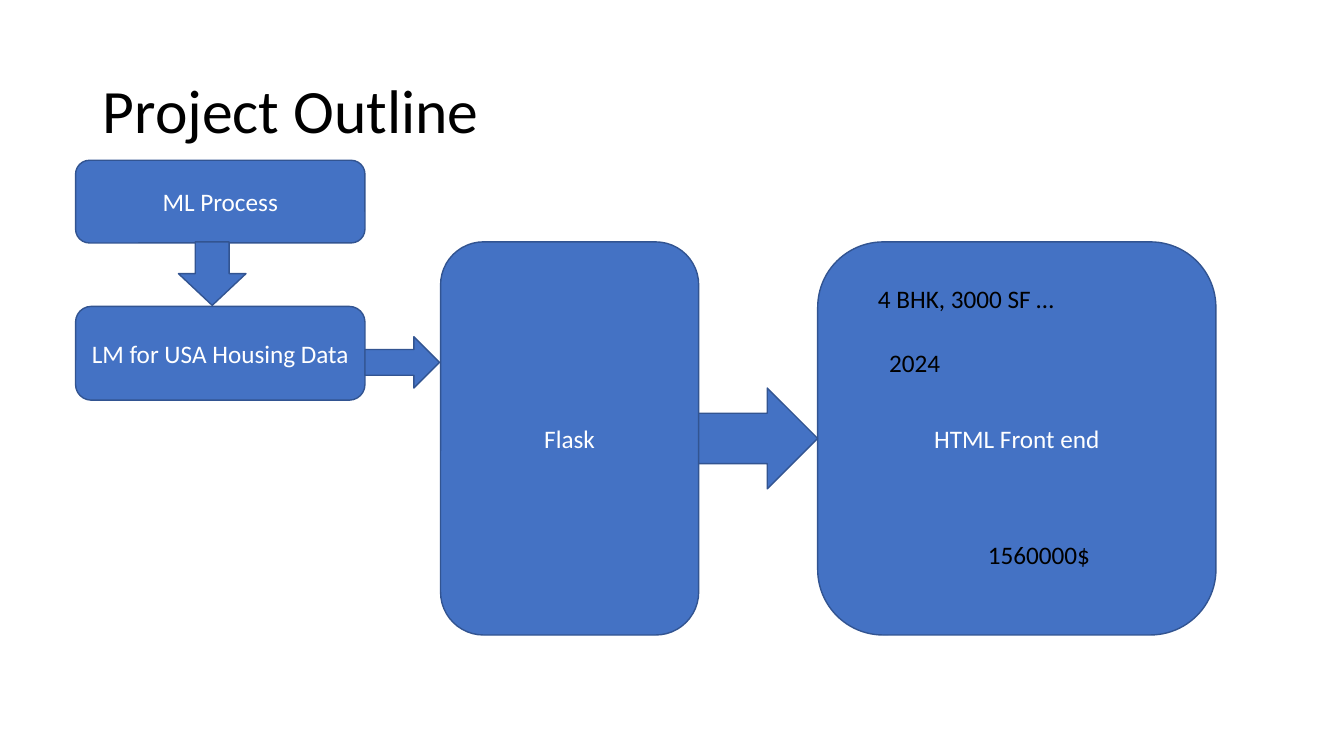
from dataclasses import dataclass

from pptx import Presentation
from pptx import util as u
from pptx.dml.color import RGBColor
from pptx.enum import shapes, text

SHAPE = shapes.MSO_SHAPE
ALIGN = text.PP_ALIGN
ANCHOR = text.MSO_ANCHOR


@dataclass(frozen=True)
class Theme:
    font: str = "Calibri"
    fill: RGBColor = RGBColor(0x44, 0x72, 0xC4)
    line: RGBColor = RGBColor(0x32, 0x54, 0x91)
    dark: RGBColor = RGBColor(0, 0, 0)
    light: RGBColor = RGBColor(255, 255, 255)
    title_size: u.Pt = u.Pt(44)
    body_size: u.Pt = u.Pt(18)
    line_width: u.Pt = u.Pt(1)


@dataclass(frozen=True)
class Box:
    left: float
    top: float
    width: float
    height: float

    def lengths(self) -> list[u.Length]:
        return [u.Inches(v) for v in (self.left, self.top, self.width, self.height)]


@dataclass(frozen=True)
class Block:
    kind: SHAPE
    box: Box
    label: str = ""


@dataclass(frozen=True)
class Note:
    box: Box
    label: str


THEME = Theme()
TITLE = Box(0.92, 0.4, 11.5, 1.45)
BLOCKS = [
    Block(SHAPE.ROUNDED_RECTANGLE, Box(8.11, 2.4, 3.95, 3.9), "HTML Front end"),
    Block(SHAPE.ROUNDED_RECTANGLE, Box(0.75, 3.04, 2.87, 0.93), "LM for USA Housing Data"),
    Block(SHAPE.ROUNDED_RECTANGLE, Box(0.75, 1.59, 2.87, 0.82), "ML Process"),
    Block(SHAPE.DOWN_ARROW, Box(1.77, 2.4, 0.67, 0.63)),
    Block(SHAPE.ROUNDED_RECTANGLE, Box(4.37, 2.4, 2.56, 3.9), "Flask"),
    Block(SHAPE.RIGHT_ARROW, Box(6.93, 3.85, 1.18, 1)),
    Block(SHAPE.RIGHT_ARROW, Box(3.62, 3.34, 0.74, 0.51)),
]
NOTES = [
    Note(Box(8.61, 2.76, 2.5, 0.4), "4 BHK, 3000 SF …"),
    Note(Box(8.72, 3.4, 1.52, 0.4), "2024"),
    Note(Box(9.7, 5.3, 1.96, 0.4), "1560000$"),
]


def apply(target, formats: dict) -> None:
    for name, value in formats.items():
        setattr(target, name, value)


def write(sp, label: str, color: RGBColor, size: u.Pt, align: ALIGN, anchor: ANCHOR) -> None:
    tf = sp.text_frame
    apply(tf, {"word_wrap": True, "vertical_anchor": anchor})
    p = tf.paragraphs[0]
    p.alignment = align
    r = p.add_run()
    r.text = label
    apply(r.font, {"name": THEME.font, "size": size})
    r.font.color.rgb = color


def draw_title(s, label: str) -> None:
    sp = s.shapes.title
    apply(sp, dict(zip(("left", "top", "width", "height"), TITLE.lengths())))
    write(sp, label, THEME.dark, THEME.title_size, ALIGN.LEFT, ANCHOR.MIDDLE)
    sp.text_frame.paragraphs[0].line_spacing = 0.9


def draw_block(s, block: Block) -> None:
    sp = s.shapes.add_shape(block.kind, *block.box.lengths())
    sp.shadow.inherit = False
    sp.fill.solid()
    sp.fill.fore_color.rgb = THEME.fill
    sp.line.color.rgb = THEME.line
    sp.line.width = THEME.line_width
    if block.label:
        write(sp, block.label, THEME.light, THEME.body_size, ALIGN.CENTER, ANCHOR.MIDDLE)


def draw_note(s, note: Note) -> None:
    sp = s.shapes.add_textbox(*note.box.lengths())
    write(sp, note.label, THEME.dark, THEME.body_size, ALIGN.LEFT, ANCHOR.TOP)
    sp.text_frame.auto_size = text.MSO_AUTO_SIZE.SHAPE_TO_FIT_TEXT


prs = Presentation()
apply(prs, {"slide_width": u.Inches(13.33), "slide_height": u.Inches(7.5)})
s = prs.slides.add_slide(prs.slide_layouts.get_by_name("Title Only"))
draw_title(s, "Project Outline")
for block in BLOCKS:
    draw_block(s, block)
for note in NOTES:
    draw_note(s, note)
prs.save("out.pptx")
